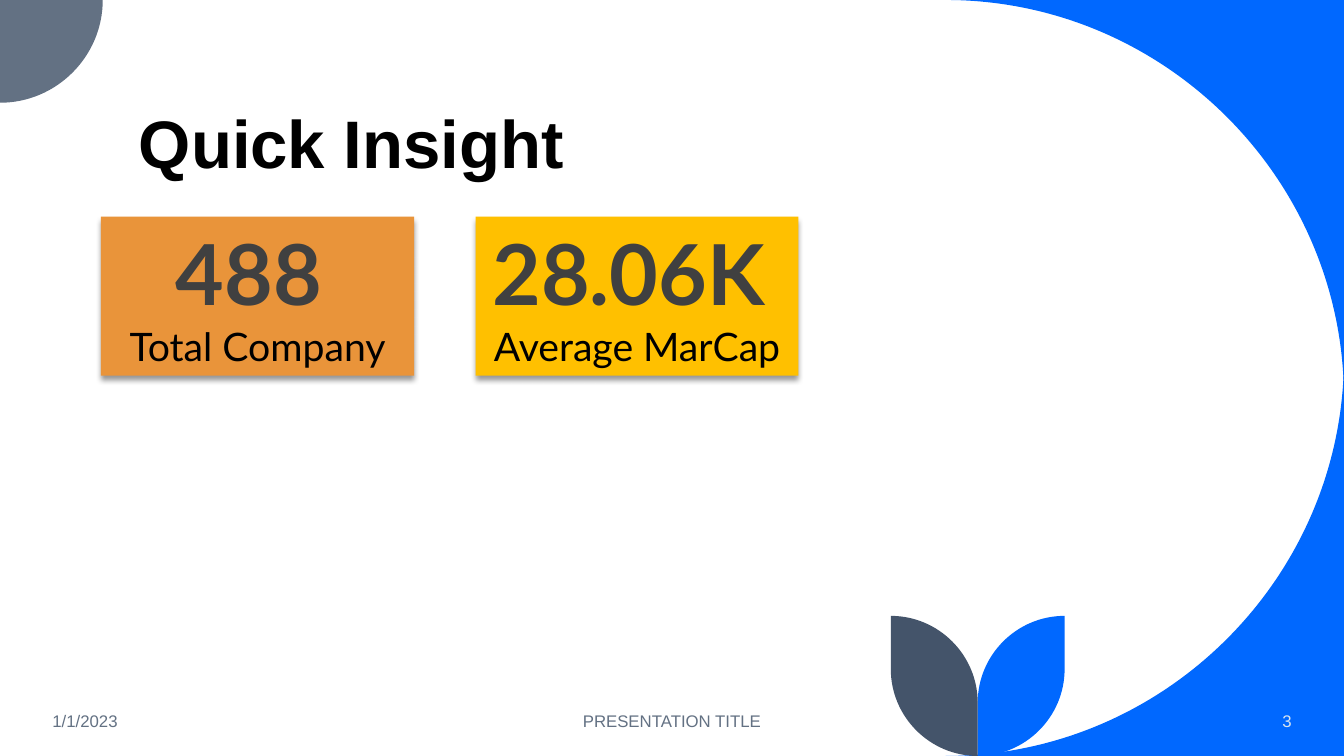
import lxml.etree
import pptx
import pptx.dml.color
import pptx.enum.shapes
import pptx.enum.text
import pptx.oxml.ns
import pptx.util

Cm = pptx.util.Cm
Pt = pptx.util.Pt
qn = pptx.oxml.ns.qn
ALIGN = pptx.enum.text.PP_ALIGN
ANCHOR = pptx.enum.text.MSO_ANCHOR

COLORS = {
    "blue": "0068FF",
    "slate": "637183",
    "navy": "44546A",
    "orange": "E9943A",
    "amber": "FFC000",
    "figure": "404040",
    "black": "000000",
    "pale": "DAE5EF",
}
WIDTH, HEIGHT = 33.87, 19.05


def rgb(name):
    return pptx.dml.color.RGBColor.from_string(COLORS[name])


def set_font(font, size, color, name="Arial", bold=False):
    font.size = Pt(size)
    font.name = name
    font.bold = bold
    font.color.rgb = rgb(color)


def paint(sp, color):
    sp.fill.solid()
    sp.fill.fore_color.rgb = rgb(color)
    sp.line.fill.background()
    sp.shadow.inherit = False


def quarter(start, corner, end):
    controls = [tuple(a + 0.55 * (c - a) for a, c in zip(p, corner)) for p in (start, end)]
    return controls + [end]


def add_outline(s, start, segments, color):
    pts = [(Cm(x), Cm(y)) for segment in segments for x, y in segment]
    builder = s.shapes.build_freeform(Cm(start[0]), Cm(start[1]), scale=1.0)
    builder.add_line_segments(pts, close=True)
    sp = builder.convert_to_shape()
    steps = iter(list(sp._element.iter(qn("a:lnTo"))))
    for segment in segments:
        group = [next(steps) for _ in segment]
        if len(group) == 3:
            curve = lxml.etree.Element(qn("a:cubicBezTo"))
            group[0].addprevious(curve)
            for step in group:
                curve.append(step[0])
                step.getparent().remove(step)
    paint(sp, color)


def add_corner(s, corner, start, end, bulge, color):
    add_outline(s, corner, [[start], quarter(start, bulge, end)], color)


def add_leaf(s, side, color):
    stem, top, radius = 24.64, 15.52, 2.19
    tip = stem + side * radius
    shoulder = (tip, HEIGHT - radius)
    base = (stem, HEIGHT)
    neck = (stem, top + radius)
    add_outline(s, (tip, top), [
        [shoulder],
        quarter(shoulder, (tip, HEIGHT), base),
        [neck],
        quarter(neck, (stem, top), (tip, top)),
    ], color)


def add_text(s, text, box, size, color, align=ALIGN.LEFT, anchor=ANCHOR.MIDDLE, bold=False):
    tf = s.shapes.add_textbox(*map(Cm, box)).text_frame
    tf.word_wrap = True
    tf.vertical_anchor = anchor
    p = tf.paragraphs[0]
    p.text = text
    p.alignment = align
    set_font(p.font, size, color, bold=bold)
    return p


def add_shadow(sp):
    effects = sp._element.spPr.find(qn("a:effectLst"))
    shadow = lxml.etree.SubElement(
        effects, qn("a:outerShdw"), blurRad="50800", dist="38100",
        dir="5400000", algn="t", rotWithShape="0")
    color = lxml.etree.SubElement(shadow, qn("a:srgbClr"), val=COLORS["black"])
    lxml.etree.SubElement(color, qn("a:alpha"), val="40000")


def add_card(s, left, width, figure, label, color):
    sp = s.shapes.add_shape(
        pptx.enum.shapes.MSO_SHAPE.RECTANGLE, Cm(left), Cm(5.46), Cm(width), Cm(4.01))
    paint(sp, color)
    add_shadow(sp)
    tf = sp.text_frame
    tf.word_wrap = True
    tf.auto_size = pptx.enum.text.MSO_AUTO_SIZE.SHAPE_TO_FIT_TEXT
    tf.vertical_anchor = ANCHOR.TOP
    p = tf.paragraphs[0]
    p.alignment = ALIGN.CENTER
    r = p.add_run()
    r.text = figure
    set_font(r.font, 60, "figure", "Lato", True)
    r = p.add_run()
    r.text = " "
    set_font(r.font, 44, "black")
    p = tf.add_paragraph()
    p.text = label
    p.alignment = ALIGN.CENTER
    set_font(p.font, 28, "black", "Lato")


def main():
    prs = pptx.Presentation()
    prs.slide_width, prs.slide_height = Cm(WIDTH), Cm(HEIGHT)
    s = prs.slides.add_slide(prs.slide_layouts[6])

    radius, dot = 10.04, 2.59
    for y, inner in ((0, radius), (HEIGHT, HEIGHT - radius)):
        corner = (WIDTH, y)
        add_corner(s, corner, (WIDTH - radius, y), (WIDTH, inner), corner, "blue")
    add_corner(s, (0, 0), (dot, 0), (0, dot), (dot, dot), "slate")
    add_leaf(s, 1, "blue")
    add_leaf(s, -1, "navy")

    title = add_text(s, "Quick Insight", (3.25, 1.07, 27.15, 3.68), 48, "black",
                     anchor=ANCHOR.BOTTOM, bold=True)
    title.line_spacing = 0.9

    for text, left, width, color, align in (
        ("1/1/2023", 1.07, 7.62, "slate", ALIGN.LEFT),
        ("PRESENTATION TITLE", 11.22, 11.43, "slate", ALIGN.CENTER),
        ("3", 28.2, 4.6, "pale", ALIGN.RIGHT),
    ):
        add_text(s, text, (left, 17.65, width, 1.02), 12, color, align)

    add_card(s, 11.99, 8.13, "28.06K", "Average MarCap", "amber")
    add_card(s, 2.54, 7.9, "488", "Total Company", "orange")
    prs.save("out.pptx")


if __name__ == "__main__":
    main()
